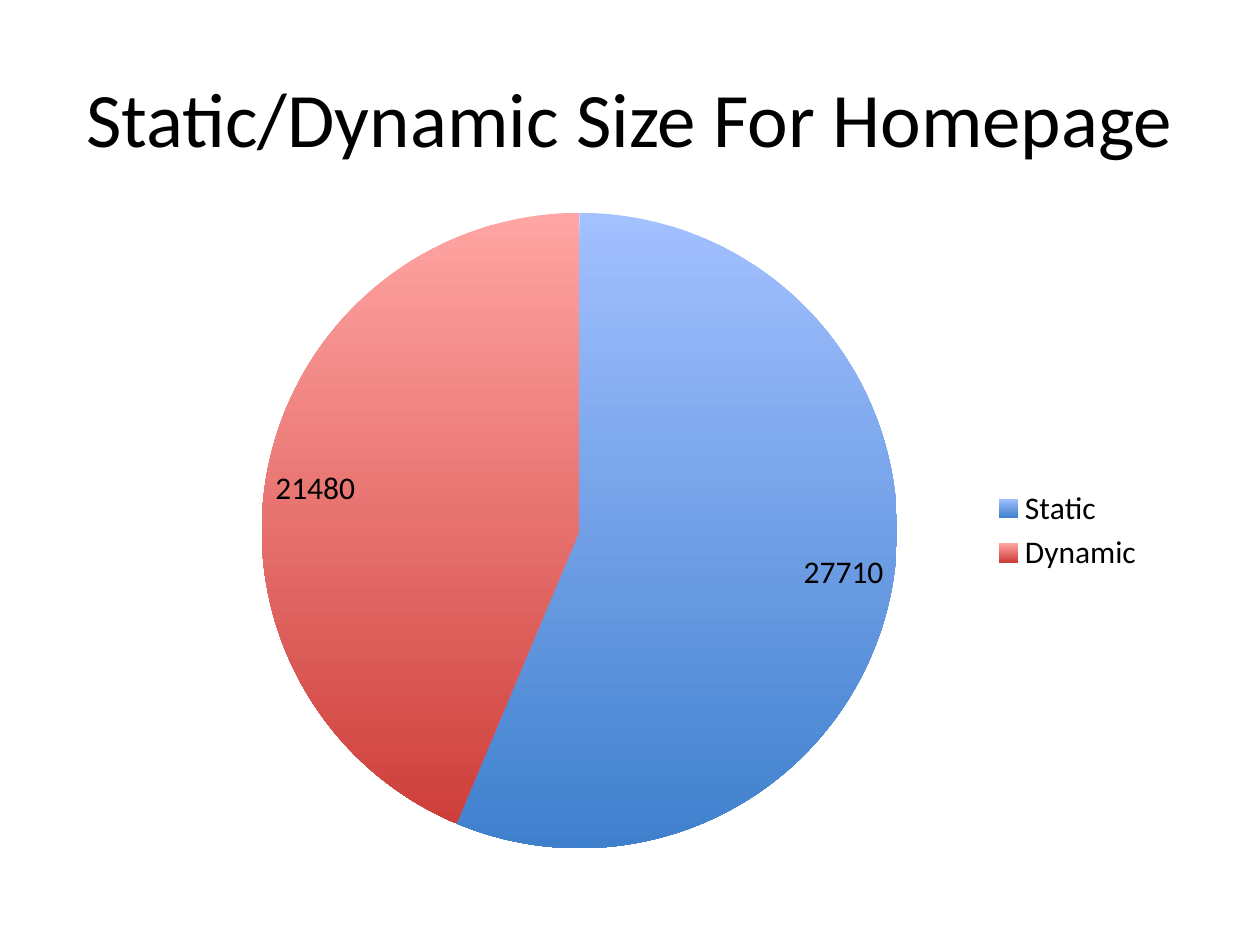
from dataclasses import dataclass

from pptx import Presentation
from pptx.chart.data import CategoryChartData as ChartData
from pptx.dml.color import RGBColor
from pptx.enum.chart import XL_CHART_TYPE as ChartType
from pptx.enum.chart import XL_LABEL_POSITION as LabelPosition
from pptx.enum.chart import XL_LEGEND_POSITION as LegendPosition
from pptx.enum.text import MSO_ANCHOR as Anchor
from pptx.enum.text import PP_ALIGN as Align
from pptx.util import Cm, Pt


@dataclass(frozen=True)
class Theme:
    font: str = "Calibri"
    text: str = "000000"
    title_size: int = 44
    chart_size: int = 18
    slices: tuple = (("A3C0FF", "3F80CD"), ("FFA5A3", "CE3F3B"))


THEME = Theme()
SIZES = {"Static": 27710, "Dynamic": 21480}


def style_font(font, size):
    font.name = THEME.font
    font.size = Pt(size)
    font.color.rgb = RGBColor.from_string(THEME.text)


def add_title(page, box, text):
    frame = page.shapes.add_textbox(*box).text_frame
    frame.word_wrap = True
    frame.vertical_anchor = Anchor.MIDDLE
    para = frame.paragraphs[0]
    para.text = text
    para.alignment = Align.CENTER
    style_font(para.font, THEME.title_size)


def fill_slice(fill, colors):
    fill.gradient()
    fill.gradient_angle = 270
    for stop, color in zip(fill.gradient_stops, colors):
        stop.color.rgb = RGBColor.from_string(color)


def add_size_pie(page, box, sizes):
    data = ChartData()
    data.categories = list(sizes)
    data.add_series("Series 1", list(sizes.values()))
    chart = page.shapes.add_chart(ChartType.PIE, *box, data).chart
    chart.has_title = False
    style_font(chart.font, THEME.chart_size)

    chart.has_legend = True
    chart.legend.position = LegendPosition.RIGHT
    chart.legend.include_in_layout = False

    plot = chart.plots[0]
    plot.vary_by_categories = True
    plot.has_data_labels = True
    labels = plot.data_labels
    labels.show_value = True
    labels.show_percentage = False
    labels.position = LabelPosition.INSIDE_END
    style_font(labels.font, THEME.chart_size)

    for index, colors in enumerate(THEME.slices):
        point_format = plot.series[0].points[index].format
        fill_slice(point_format.fill, colors)
        point_format.line.fill.background()


def main():
    deck = Presentation()
    deck.slide_width, deck.slide_height = Cm(25.4), Cm(19.05)
    page = deck.slides.add_slide(deck.slide_layouts[6])
    title_box = Cm(1.27), Cm(0.76), Cm(22.86), Cm(3.18)
    pie_box = Cm(3.43), Cm(3.94), Cm(19.89), Cm(13.51)
    add_title(page, title_box, "Static/Dynamic Size For Homepage")
    add_size_pie(page, pie_box, SIZES)
    deck.save("out.pptx")


if __name__ == "__main__":
    main()
